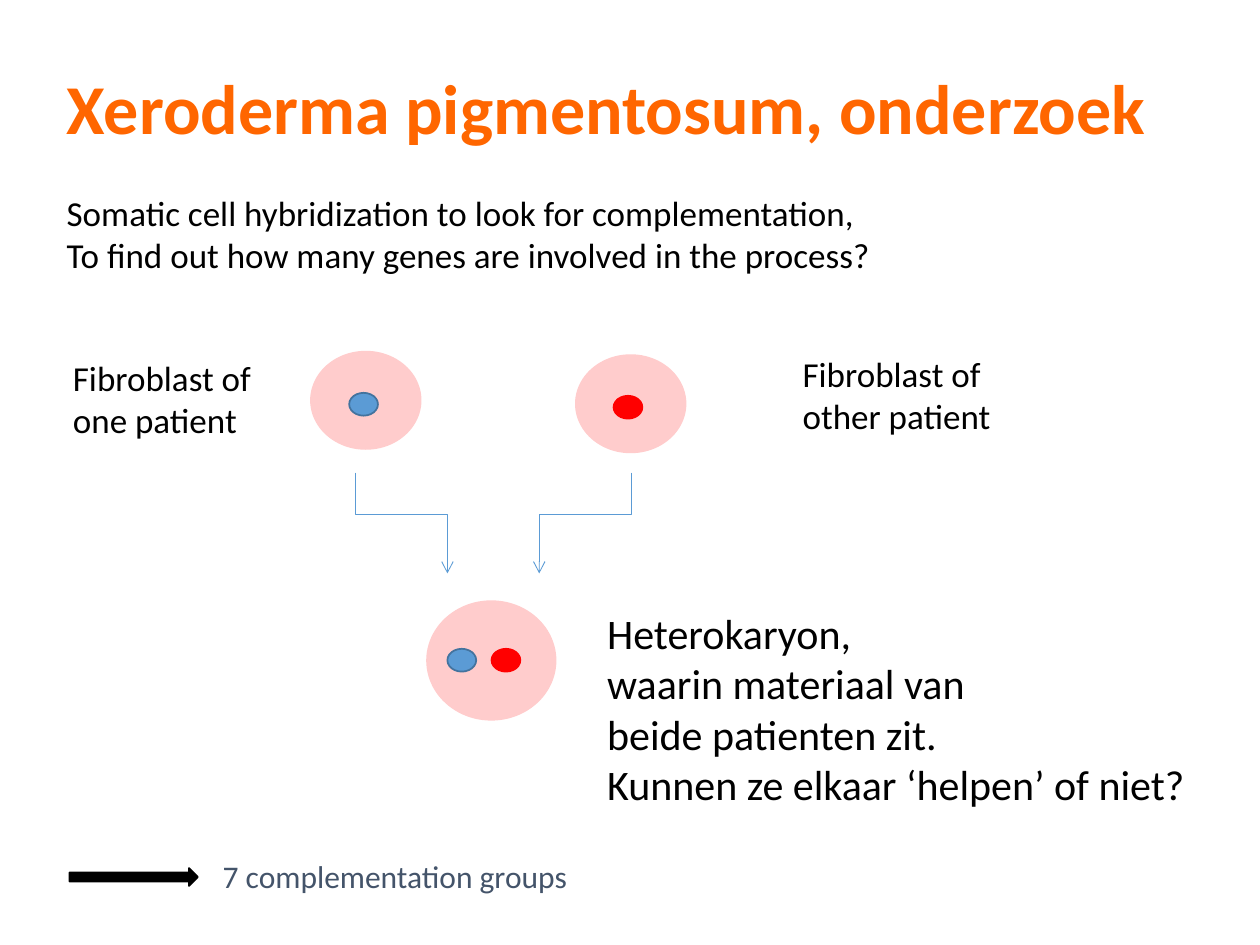
from lxml.etree import SubElement
from pptx import Presentation
from pptx.dml.color import RGBColor
from pptx.enum.shapes import MSO_CONNECTOR as Connector, MSO_SHAPE as Shape
from pptx.enum.text import MSO_ANCHOR as Anchor, MSO_AUTO_SIZE as AutoSize, PP_ALIGN as Align
from pptx.oxml.ns import qn
from pptx.util import Cm, Pt

FONT = "Calibri"
ORANGE = RGBColor(0xFF, 0x66, 0x00)
BLACK = RGBColor(0x00, 0x00, 0x00)
SLATE = RGBColor(0x44, 0x54, 0x6A)
PINK = RGBColor(0xFF, 0xCC, 0xCC)
RED = RGBColor(0xFF, 0x00, 0x00)
BLUE = RGBColor(0x5B, 0x9B, 0xD5)
DARK_BLUE = RGBColor(0x43, 0x73, 0x9E)

# Content: lengths are in cm, boxes are left, top, width, height
TITLE = ["Xeroderma pigmentosum, onderzoek"]
TITLE_BOX = (1.09, 1.17, 23.09, 1.95)
INTRO = ["Somatic cell hybridization to look for complementation,",
         "To find out how many genes are involved in the process?"]
INTRO_BOX = (1.09, 3.73, 23.09, 1.95)

# Lines, box, size, colour, wrap
LABELS = [
    (["Fibroblast of", "one patient"], (1.22, 7.06, 4.29, 1.96), 20, BLACK, False),
    (["Fibroblast of", "other patient"], (15.93, 6.99, 4.34, 1.96), 20, BLACK, False),
    (["Heterokaryon,", "waarin materiaal van", "beide patienten zit.",
      "Kunnen ze elkaar ‘helpen’ of niet?"],
     (11.99, 12.12, 12.24, 4.37), 24, BLACK, False),
    (["7 complementation groups"], (4.24, 17.15, 8.94, 1.02), 18, SLATE, True),
]

# Cell box, then the left, top, fill and line of each nucleus
NUCLEUS_SIZE = (0.58, 0.46)
CELLS = [
    ((6.27, 7.09, 2.21, 1.96), [(7.04, 7.92, BLUE, DARK_BLUE)]),
    ((11.61, 7.16, 2.21, 1.96), [(12.37, 7.98, RED, RED)]),
    ((8.61, 12.12, 2.59, 2.39), [(9.02, 13.08, BLUE, DARK_BLUE),
                                 (9.91, 13.08, RED, RED)]),
]

# Start x and end x of the fusion arrows
FUSION_ARROWS = [(12.73, 10.87), (7.16, 9.02)]
FUSION_TOP, FUSION_BOTTOM = 9.53, 11.56
BEND = 41000
RESULT_ARROW = (1.4, 17.5, 2.59, 0.36)


def lengths(box):
    return [Cm(value) for value in box]


def write(shape, lines, size, color, bold=False, wrap=True):
    frame = shape.text_frame
    frame.auto_size = AutoSize.NONE
    frame.word_wrap = wrap
    frame.vertical_anchor = Anchor.TOP
    for index, line in enumerate(lines):
        paragraph = frame.add_paragraph() if index else frame.paragraphs[0]
        paragraph.alignment = Align.LEFT
        paragraph.space_before = Pt(0)
        run = paragraph.add_run()
        run.text = line
        run.font.name = FONT
        run.font.size = Pt(size)
        run.font.bold = bold
        run.font.color.rgb = color


def place(shape, box):
    shape.left, shape.top, shape.width, shape.height = lengths(box)


def draw(shapes, kind, box, fill, line):
    shape = shapes.add_shape(kind, *lengths(box))
    shape.shadow.inherit = False
    shape.fill.solid()
    shape.fill.fore_color.rgb = fill
    shape.line.color.rgb = line
    shape.line.width = Pt(1)


def draw_fusion_arrow(shapes, start_x, end_x):
    # The elbow is laid out sideways and turned so that it leaves downwards
    center_x = (start_x + end_x) / 2
    center_y = (FUSION_TOP + FUSION_BOTTOM) / 2
    half_width = (FUSION_BOTTOM - FUSION_TOP) / 2
    half_height = abs(end_x - start_x) / 2
    connector = shapes.add_connector(
        Connector.ELBOW,
        Cm(center_x - half_width), Cm(center_y - half_height),
        Cm(center_x + half_width), Cm(center_y + half_height))
    connector.line.color.rgb = BLUE
    connector.line.width = Pt(0.5)
    properties = connector._element.spPr
    transform = properties.find(qn("a:xfrm"))
    if end_x > start_x:
        transform.set("rot", str(270 * 60000))
        transform.set("flipH", "1")
    else:
        transform.set("rot", str(90 * 60000))
    guides = properties.find(qn("a:prstGeom")).get_or_add_avLst()
    SubElement(guides, qn("a:gd"), name="adj1", fmla=f"val {BEND}")
    SubElement(properties.find(qn("a:ln")), qn("a:tailEnd"), type="arrow")
    SubElement(properties, qn("a:effectLst"))


def main():
    presentation = Presentation()
    presentation.slide_width, presentation.slide_height = Cm(25.4), Cm(19.05)
    slide = presentation.slides.add_slide(presentation.slide_layouts[1])
    shapes = slide.shapes

    # Title and introduction
    title, intro = slide.placeholders
    place(title, TITLE_BOX)
    write(title, TITLE, 40, ORANGE, bold=True)
    place(intro, INTRO_BOX)
    write(intro, INTRO, 20, BLACK)
    for paragraph in intro.text_frame.paragraphs:
        properties = paragraph._p.get_or_add_pPr()
        properties.set("marL", "0")
        properties.set("indent", "0")
        SubElement(properties, qn("a:buNone"))

    # Labels
    for lines, box, size, color, wrap in LABELS:
        write(shapes.add_textbox(*lengths(box)), lines, size, color, wrap=wrap)

    # Cells with their nuclei
    for box, nuclei in CELLS:
        cell = shapes.add_group_shape().shapes
        draw(cell, Shape.OVAL, box, PINK, PINK)
        for left, top, fill, line in nuclei:
            draw(cell, Shape.OVAL, (left, top, *NUCLEUS_SIZE), fill, line)

    # Arrows
    for start_x, end_x in FUSION_ARROWS:
        draw_fusion_arrow(shapes, start_x, end_x)
    draw(shapes, Shape.RIGHT_ARROW, RESULT_ARROW, BLACK, BLACK)

    presentation.save("out.pptx")


if __name__ == "__main__":
    main()
